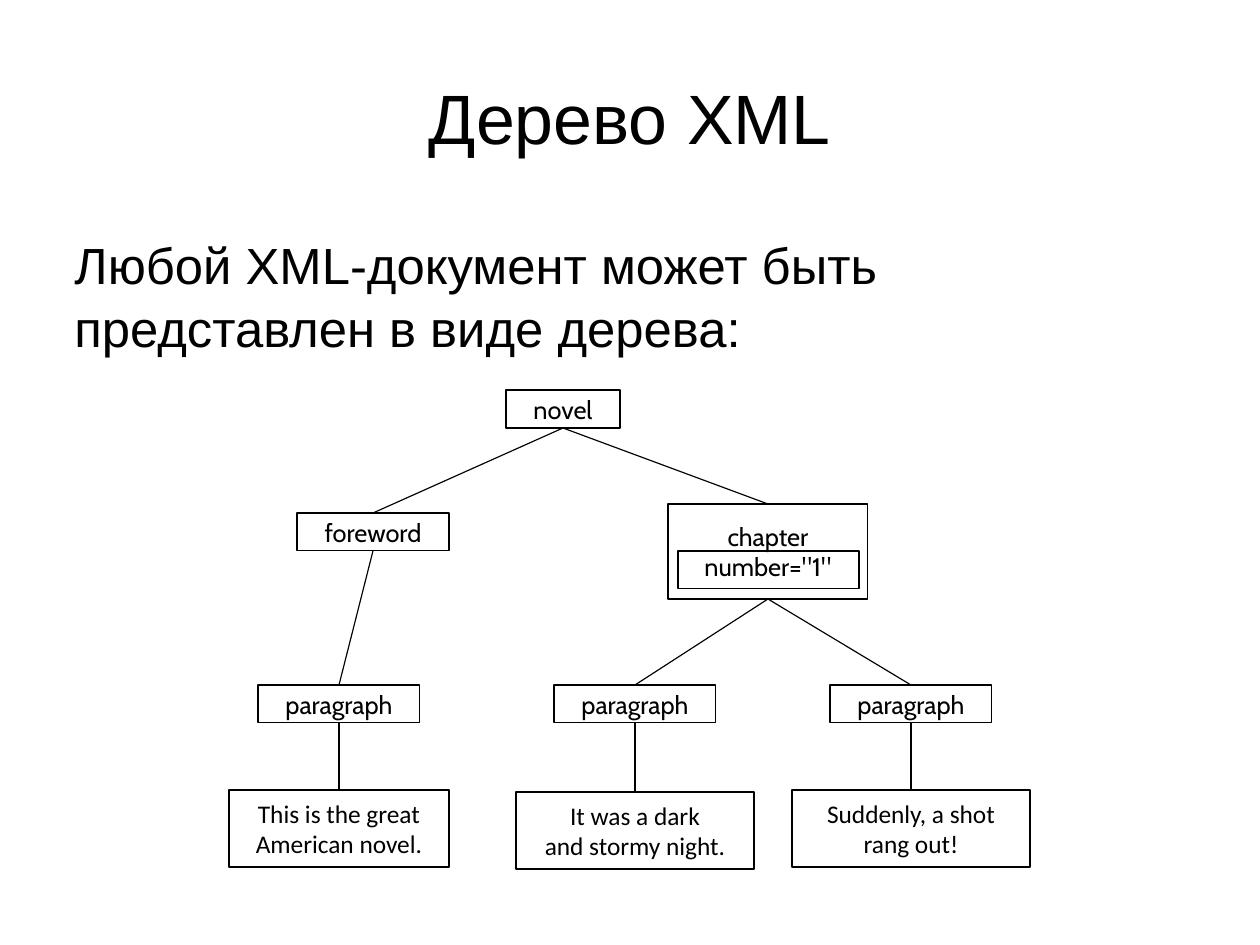
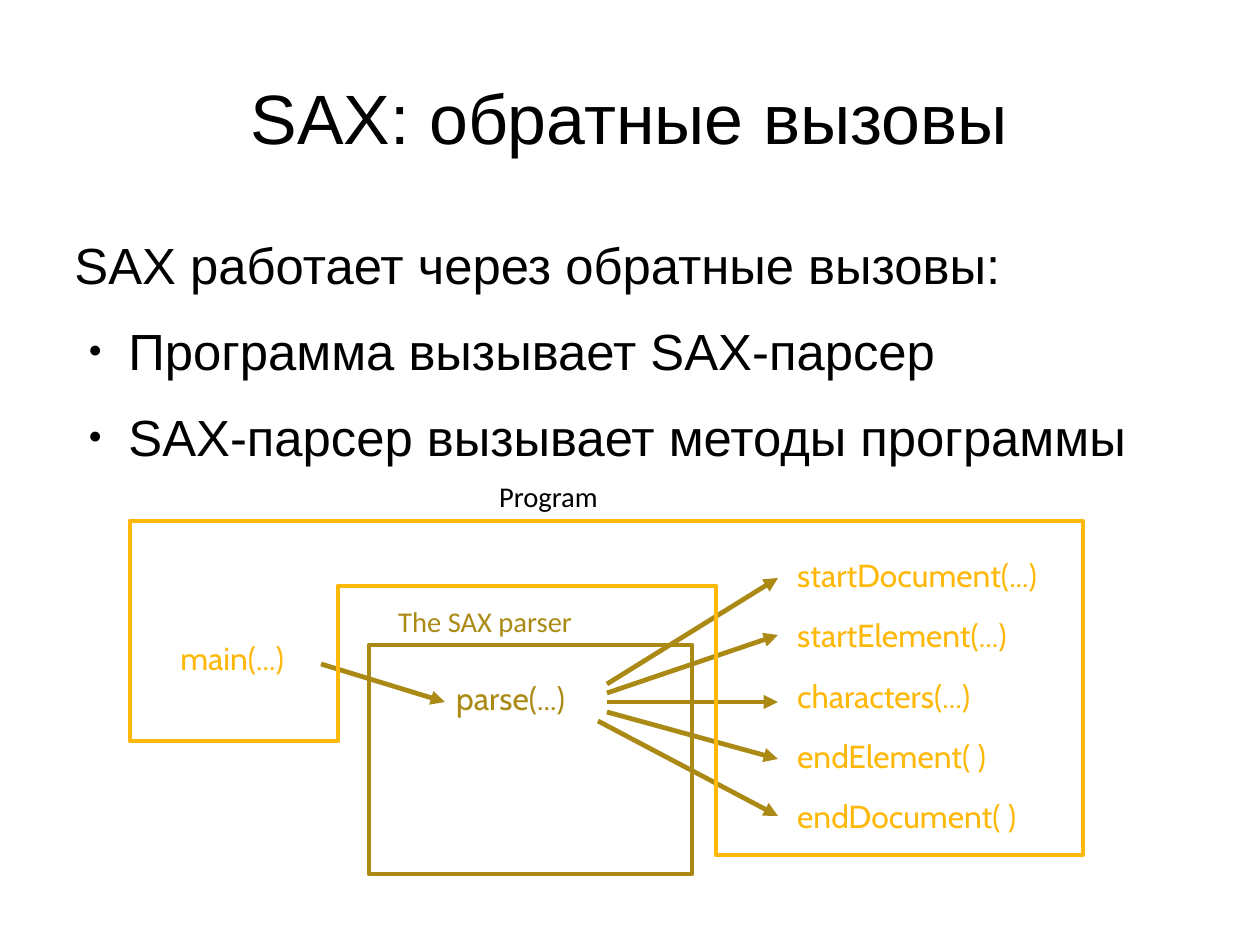
from lxml.etree import SubElement
from pptx import Presentation
from pptx.dml.color import RGBColor
from pptx.enum.shapes import MSO_CONNECTOR, MSO_SHAPE
from pptx.enum.text import MSO_ANCHOR, MSO_AUTO_SIZE, PP_ALIGN
from pptx.oxml.ns import qn
from pptx.util import Emu, Pt

PX = 8000  # EMU in one px
SLIDE_SIZE = (1260, 945)
TITLE_BOX = (63, 38, 1134, 158)
BODY_BOX = (63, 221, 1134, 547)
TREE_BOX = (230, 390, 800, 479)
CALLBACK_BOX = (130, 521, 953, 334)

BLACK = RGBColor(0x00, 0x00, 0x00)
OLIVE = RGBColor(0xAA, 0x8A, 0x14)
AMBER = RGBColor(0xFE, 0xB8, 0x0A)

HEADING_FONT, CODE_FONT, LABEL_FONT = "Arial", "Cabin", "Calibri"


def px(*lengths):
    return [Emu(length * PX) for length in lengths]


def write(frame, lines, *, font, size, color=BLACK, align=PP_ALIGN.LEFT,
          anchor=MSO_ANCHOR.TOP, wrap=True, before=0, after=0, spacing=None):
    """Fill a text frame, one paragraph for each line."""
    frame.word_wrap = wrap
    frame.auto_size = MSO_AUTO_SIZE.NONE
    frame.vertical_anchor = anchor
    for index, line in enumerate(lines):
        paragraph = frame.paragraphs[0] if index == 0 else frame.add_paragraph()
        paragraph.alignment = align
        paragraph.space_before = Pt(before if index else 0)
        paragraph.space_after = Pt(after)
        if spacing:
            paragraph.line_spacing = spacing
        run = paragraph.add_run()
        run.text = line
        run.font.name, run.font.size = font, Pt(size)
        run.font.color.rgb = color


def set_bullet(paragraph, bulleted):
    properties = paragraph._p.get_or_add_pPr()
    left, hanging = px(54, -40) if bulleted else px(0, 0)
    properties.set("marL", str(left))
    properties.set("indent", str(hanging))
    if not bulleted:
        SubElement(properties, qn("a:buNone"))
        return
    bullet_color = SubElement(properties, qn("a:buClr"))
    SubElement(bullet_color, qn("a:srgbClr"), val=str(BLACK))
    SubElement(properties, qn("a:buSzPct"), val="45000")
    SubElement(properties, qn("a:buChar"), char="●")


def place(placeholder, box):
    placeholder.left, placeholder.top, placeholder.width, placeholder.height = px(*box)
    return placeholder.text_frame


def add_content_slide(deck, title, intro, bullets=()):
    """Slide with a centred title, an intro line and optional bullets."""
    slide = deck.slides.add_slide(deck.slide_layouts[1])
    write(place(slide.shapes.title, TITLE_BOX), [title], font=HEADING_FONT,
          size=44, align=PP_ALIGN.CENTER, anchor=MSO_ANCHOR.MIDDLE)
    body = place(slide.placeholders[1], BODY_BOX)
    body.margin_top = px(10)[0]
    write(body, [intro, *bullets], font=HEADING_FONT, size=32, after=14.2,
          spacing=1.04)
    for index, paragraph in enumerate(body.paragraphs):
        set_bullet(paragraph, index > 0)
    return slide


def outline(shape, color, weight):
    shape.shadow.inherit = False
    shape.fill.background()
    shape.line.color.rgb = color
    shape.line.width = Pt(weight)
    return shape


def add_frame(slide, box, color, weight, kind=MSO_SHAPE.RECTANGLE):
    return outline(slide.shapes.add_shape(kind, *px(*box)), color, weight)


def add_line(slide, color, weight, ends=(0, 0, 0, 0), arrow=False):
    line = slide.shapes.add_connector(MSO_CONNECTOR.STRAIGHT, *px(*ends))
    line.line.color.rgb = color
    line.line.width = Pt(weight)
    if arrow:
        SubElement(line.line._get_or_add_ln(), qn("a:tailEnd"), type="triangle")
    SubElement(line._element.spPr, qn("a:effectLst"))
    return line


def add_label(slide, box, lines, **text_format):
    label = slide.shapes.add_textbox(*px(*box))
    write(label.text_frame, lines, **text_format)


def draw_tree(slide, box):
    """Document tree: each node hangs from its parent."""
    left, top = box[:2]

    def node(lines, center, y, width, height=38, parent=None, font=CODE_FONT,
             kind=MSO_SHAPE.RECTANGLE):
        shape = add_frame(slide, (left + center - width // 2, top + y, width, height),
                          BLACK, 0.75, kind)
        write(shape.text_frame, lines, font=font, size=16, align=PP_ALIGN.CENTER,
              anchor=MSO_ANCHOR.MIDDLE, wrap=False)
        if parent is not None:
            edge = add_line(slide, BLACK, 0.75)
            edge.begin_connect(parent, 2)
            edge.end_connect(shape, 0)
        return shape

    novel = node(["novel"], 333, 0, 114, kind=MSO_SHAPE.FLOWCHART_PROCESS)
    foreword = node(["foreword"], 143, 123, 152, parent=novel)
    chapter = node(["chapter", 'number="1"'], 538, 114, 200, 95, parent=novel)
    # Attribute frame inside the chapter node
    add_frame(slide, (left + 448, top + 161, 181, 38), BLACK, 0.75)

    # Paragraphs with their sentences
    branches = [
        (foreword, 109, 400, 220, ["This is the great", "American novel."]),
        (chapter, 405, 402, 238, ["It was a dark", "and stormy night."]),
        (chapter, 681, 400, 238, ["Suddenly, a shot", "rang out!"]),
    ]
    for parent, center, y, width, sentence in branches:
        paragraph = node(["paragraph"], center, 295, 162, parent=parent)
        node(sentence, center, y, width, 77, parent=paragraph, font=LABEL_FONT)


def draw_callbacks(slide, box):
    """Program outline around the parser, with calls in both directions."""
    left, top, width, height = box

    def at(x, y, *size):
        return (left + x, top + y, *size)

    # Parser
    add_label(slide, at(315, 152, 323, 49), ["parse(...)"],
              font=CODE_FONT, size=20, color=OLIVE)
    add_frame(slide, at(239, 124, 323, 229), OLIVE, 3)
    add_label(slide, at(257, 77, 305, 46), ["The SAX parser"],
              font=LABEL_FONT, size=18, color=OLIVE)

    # Call into the parser, then the callbacks
    calls = [
        (191, 143, 315, 181),
        (477, 163, 648, 57),
        (477, 172, 648, 114),
        (477, 181, 648, 181),
        (477, 191, 648, 238),
        (468, 200, 648, 295),
    ]
    for x1, y1, x2, y2 in calls:
        add_line(slide, OLIVE, 3, at(x1, y1) + at(x2, y2), arrow=True)

    # Program
    add_label(slide, at(257, -48, 323, 46), ["Program"],
              font=LABEL_FONT, size=18, align=PP_ALIGN.CENTER)
    add_label(slide, at(39, 112, 266, 49), ["main(...)"],
              font=CODE_FONT, size=20, color=AMBER)
    methods = ["startDocument(...)", "startElement(...)", "characters(...)",
               "endElement( )", "endDocument( )"]
    add_label(slide, at(656, 29, 352, 294), methods,
              font=CODE_FONT, size=20, color=AMBER, before=14)
    program = slide.shapes.build_freeform(0, 0, scale=PX)
    program.add_line_segments([(0, 220), (208, 220), (208, 65), (586, 65),
                               (586, height), (width, height), (width, 0)])
    outline(program.convert_to_shape(*px(left, top)), AMBER, 3)


def main():
    deck = Presentation()
    deck.slide_width, deck.slide_height = px(*SLIDE_SIZE)

    tree = add_content_slide(
        deck, "Дерево XML",
        "Любой XML-документ может быть представлен в виде дерева:")
    draw_tree(tree, TREE_BOX)

    callbacks = add_content_slide(
        deck, "SAX: обратные вызовы", "SAX работает через обратные вызовы:",
        ["Программа вызывает SAX-парсер", "SAX-парсер вызывает методы программы"])
    draw_callbacks(callbacks, CALLBACK_BOX)

    deck.save("out.pptx")


if __name__ == "__main__":
    main()
